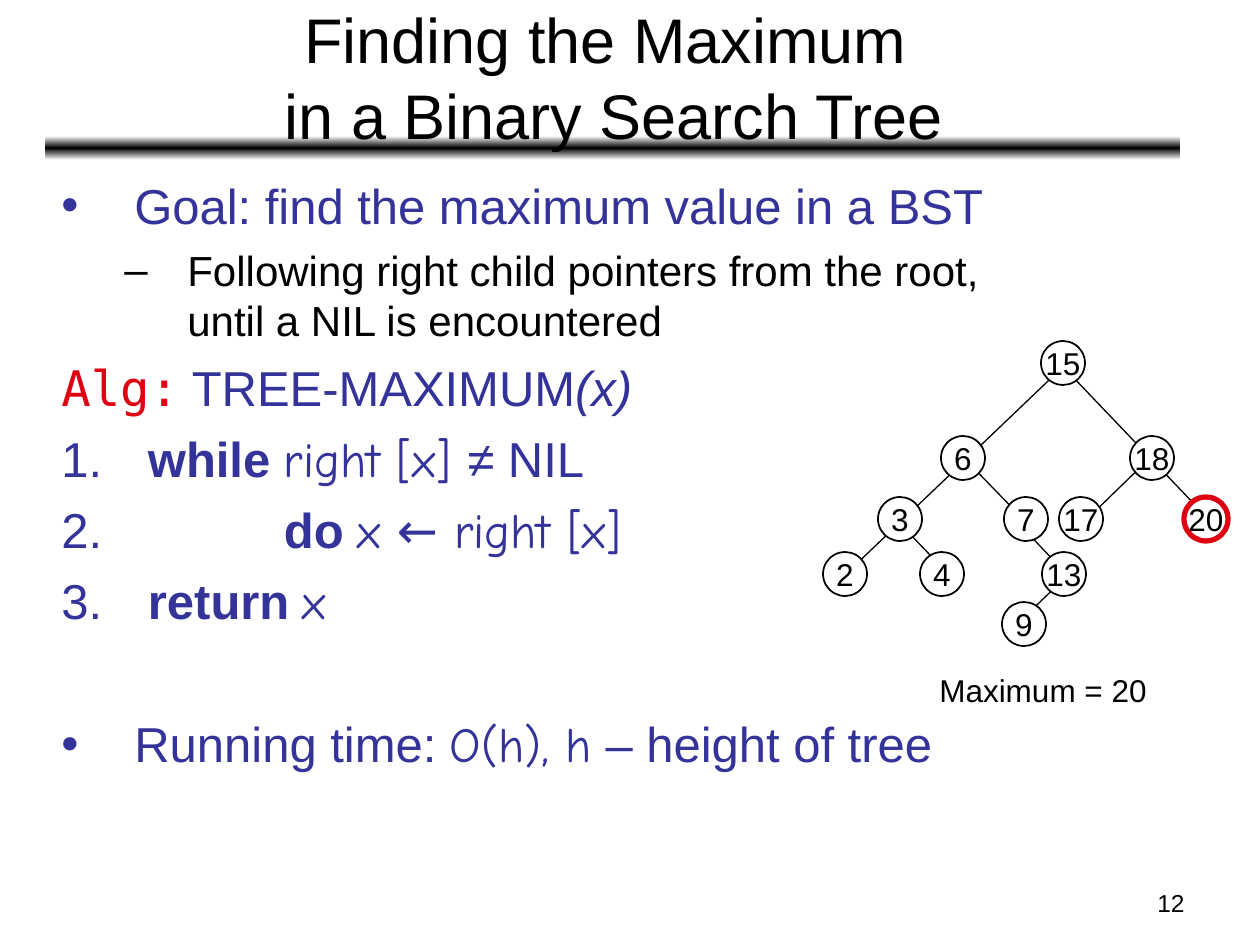
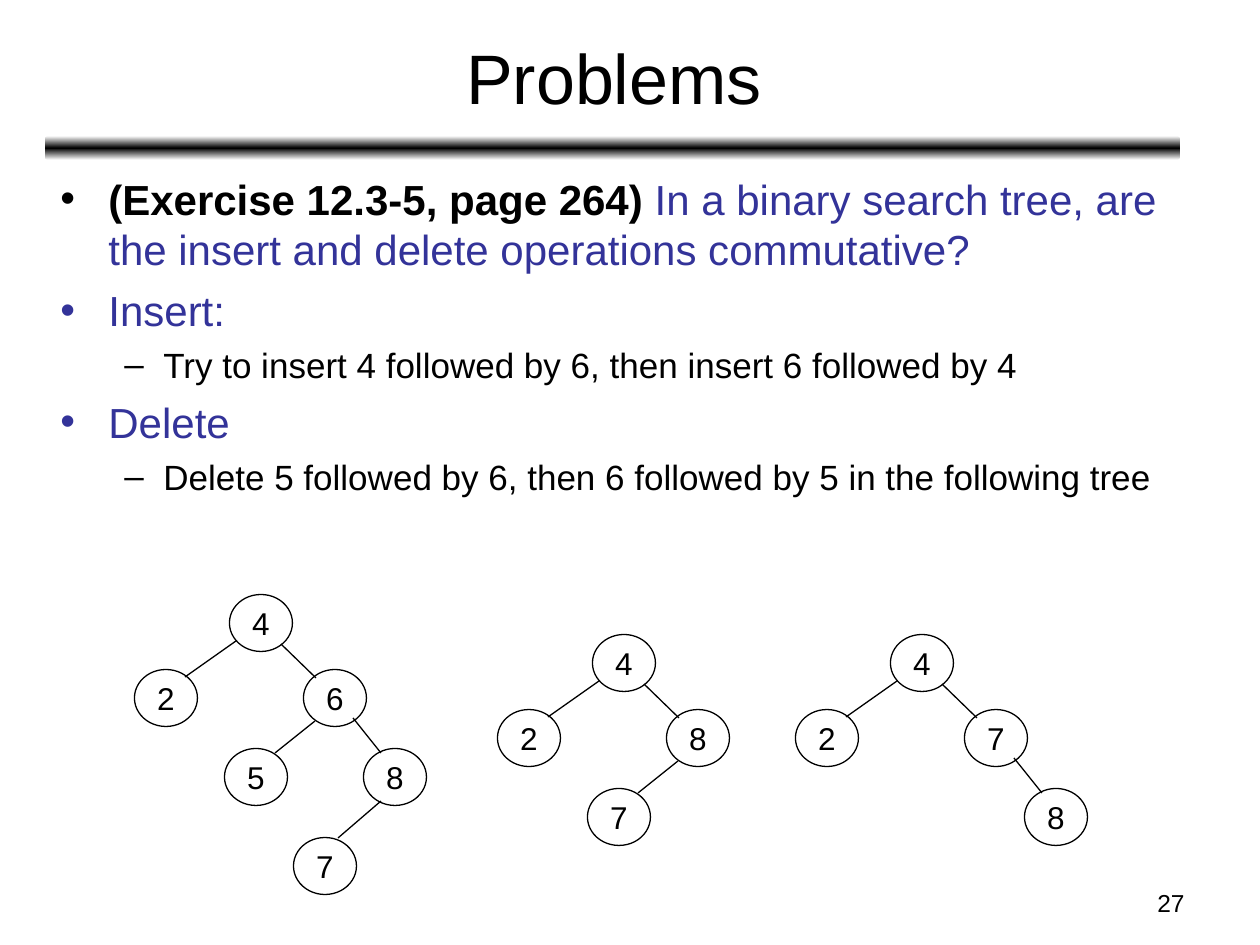
import copy

import pptx
import pptx.dml.color
import pptx.enum.shapes
import pptx.enum.text
import pptx.oxml.ns
import pptx.util

PX = 914400 / 126
SLIDE_W, SLIDE_H = 1260, 945
COLORS = {"black": "000000", "white": "FFFFFF", "blue": "333399", "red": "DD0111"}
SANS, HAND, MONO = "Arial", "Comic Neue", "DejaVu Sans Mono"

BAND = (45, 136, 1135, 24)
TITLE = (47, 14, 1134, 125)
NUMBER = (903, 882, 294, 44)

# Paragraph styles: text indent and hang in px, space before in pt
GOAL = {"left": 73, "hang": 73, "before": 7, "bullet": "•", "size": 28, "color": "blue"}
POINT = {"left": 126, "hang": 63, "before": 6, "bullet": "–", "size": 24, "level": 1}
ALG = {**GOAL, "bullet": None}
STEP = {**GOAL, "bullet": "1."}
NESTED_STEP = {**STEP, "left": 209, "hang": 209}
RUNNING_TIME = {**GOAL, "before": 48}
TOPIC = {"left": 48, "hang": 48, "before": 6, "bullet": "•", "size": 24, "color": "blue"}
EXERCISE = {**TOPIC, "bullet_color": "black"}
TASK = {"left": 103, "hang": 39, "before": 5, "bullet": "–", "size": 20, "level": 1}

BOLD, HANDWRITTEN = {"bold": True}, {"font": HAND}

# A slot spells the way down from the root: L for left child, R for right child.
# Offsets are from the root; a line is named after the lowest slot it reaches.
MAX_SLOTS = {
    "": (0, 0), "L": (-100, 95), "R": (89, 95),
    "LL": (-163, 156), "LR": (-37, 156), "RL": (18, 156), "RR": (143, 156),
    "LLL": (-218, 211), "LLR": (-121, 211), "LRR": (1, 211), "LRRL": (-39, 261),
}
MAX_LINES = {
    "LRRL": (-51, 266, 5, 212), "LRR": (-41, 164, 12, 220), "RL": (19, 161, 89, 93),
    "LLR": (-109, 217, -177, 146), "LR": (-35, 161, -103, 91),
    "RR": (155, 166, -13, -10), "LLL": (-216, 210, 4, 0),
}
PROBLEM_SLOTS = {
    "": (0, 0), "L": (-95, 75), "R": (74, 75),
    "RL": (-5, 154), "RR": (134, 154), "RRL": (64, 243),
}
PROBLEM_LINES = {
    "R": (20, 21, 55, 55), "RR": (92, 95, 120, 130), "RL": (54, 98, 14, 130),
    "L": (-25, 18, -76, 54), "RRL": (120, 178, 77, 215),
}
MAX_STYLE = {"slots": MAX_SLOTS, "lines": MAX_LINES, "node": (44, 44), "width": 1,
             "fill": "white"}
PROBLEM_STYLE = {"slots": PROBLEM_SLOTS, "lines": PROBLEM_LINES, "node": (63, 57),
                 "width": 0.75}

SLIDES = [
    {
        "title": "Finding the Maximum \nin a Binary Search Tree",
        "title_size": 36,
        "number": "12",
        "body_at": (49, 169, 968, 699),
        "body": [
            (GOAL, [("Goal: find the maximum value in a BST", {})]),
            (POINT, [("Following right child pointers from the root, "
                      "until a NIL is encountered", {})]),
            (ALG, [("Alg:", {"font": MONO, "color": "red"}), (" TREE-MAXIMUM", {}),
                   ("(x)", {"italic": True})]),
            (STEP, [(" ", {}), ("while ", BOLD), ("right [x] ", HANDWRITTEN),
                    ("≠ NIL", {})]),
            (NESTED_STEP, [(" ", {}), ("do ", BOLD), ("x ← right [x]", HANDWRITTEN)]),
            (STEP, [(" ", {}), ("return ", BOLD), ("x", HANDWRITTEN)]),
            (RUNNING_TIME, [("Running time: ", {}), ("O(h), h", HANDWRITTEN),
                            (" – height of tree", {})]),
        ],
        "trees": [
            {"root": (1063, 363), "marked": "RR", "style": MAX_STYLE,
             "values": {"": 15, "L": 6, "R": 18, "LL": 3, "LR": 7, "RL": 17, "RR": 20,
                        "LLL": 2, "LLR": 4, "LRR": 13, "LRRL": 9}},
        ],
        "caption": ("Maximum = 20", (927, 665, 240, 50)),
    },
    {
        "title": "Problems",
        "title_size": 40,
        "number": "27",
        "body_at": (48, 167, 1134, 396),
        "body": [
            (EXERCISE, [("(Exercise 12.3-5, page 264)", {"bold": True, "color": "black"}),
                        (" In a binary search tree, are the insert and delete "
                         "operations commutative?", {})]),
            (TOPIC, [("Insert:", {})]),
            (TASK, [("Try to insert 4 followed by 6, then insert 6 followed by 4", {})]),
            (TOPIC, [("Delete", {})]),
            (TASK, [("Delete 5 followed by 6, then 6 followed by 5 "
                     "in the following tree", {})]),
        ],
        "trees": [
            {"root": (261, 623), "style": PROBLEM_STYLE,
             "values": {"": 4, "L": 2, "R": 6, "RL": 5, "RR": 8, "RRL": 7}},
            {"root": (624, 663), "style": PROBLEM_STYLE,
             "values": {"": 4, "L": 2, "R": 8, "RL": 7}},
            {"root": (922, 663), "style": PROBLEM_STYLE,
             "values": {"": 4, "L": 2, "R": 7, "RR": 8}},
        ],
    },
]


def emu(*lengths):
    return [pptx.util.Emu(round(n * PX)) for n in lengths]


def rgb(name):
    return pptx.dml.color.RGBColor.from_string(COLORS[name])


def add_text(p, text, size=18, color="black", font=SANS, bold=False, italic=False):
    """Add text to a paragraph; each newline becomes a line break."""
    for i, line in enumerate(text.split("\n")):
        if i:
            p.add_line_break()
        r = p.add_run()
        r.text = line
        r.font.size = pptx.util.Pt(size)
        r.font.name = font
        r.font.bold, r.font.italic = bold, italic
        r.font.color.rgb = rgb(color)


def add_box(slide, at, wrap=True):
    tf = slide.shapes.add_textbox(*emu(*at)).text_frame
    tf.word_wrap = wrap
    return tf


def add_xml(parent, tag, **attrs):
    child = parent.makeelement(pptx.oxml.ns.qn(tag), attrs)
    parent.append(child)
    return child


def set_bullet(p, bullet, color):
    p_pr = p._p.get_or_add_pPr()
    add_xml(add_xml(p_pr, "a:buClr"), "a:srgbClr", val=COLORS[color])
    add_xml(p_pr, "a:buFont", typeface=SANS)
    if bullet == "1.":
        add_xml(p_pr, "a:buAutoNum", type="arabicPeriod")
    else:
        add_xml(p_pr, "a:buChar", char=bullet)


def add_body(slide, at, paragraphs):
    tf = add_box(slide, at)
    for i, (style, runs) in enumerate(paragraphs):
        p = tf.add_paragraph() if i else tf.paragraphs[0]
        color = style.get("color", "black")
        p.level = style.get("level", 0)
        p.space_before = pptx.util.Pt(style["before"])
        left, hang = emu(style["left"], style["hang"])
        p_pr = p._p.get_or_add_pPr()
        p_pr.set("marL", str(left))
        p_pr.set("indent", str(-hang))
        if style["bullet"]:
            set_bullet(p, style["bullet"], style.get("bullet_color", color))
        for text, fmt in runs:
            add_text(p, text, **{"size": style["size"], "color": color, **fmt})


def add_band(slide):
    band = slide.shapes.add_shape(
        pptx.enum.shapes.MSO_SHAPE.ROUNDED_RECTANGLE, *emu(*BAND))
    band.shadow.inherit = False
    band.line.fill.background()
    band.fill.gradient()
    band.fill.gradient_angle = 90
    last = list(band.element.iter(pptx.oxml.ns.qn("a:gs")))[-1]
    last.addnext(copy.deepcopy(last))
    for stop, place, color in zip(band.fill.gradient_stops, (0, 0.5, 1),
                                  ("white", "black", "white")):
        stop.position = place
        stop.color.rgb = rgb(color)
    return band


def add_frame(slide, title, size, number):
    """Add what every slide shares: band, title above it, and slide number."""
    sp = slide.shapes.title
    add_band(slide).element.addnext(sp.element)
    sp.left, sp.top, sp.width, sp.height = emu(*TITLE)
    tf = sp.text_frame
    tf.auto_size = pptx.enum.text.MSO_AUTO_SIZE.NONE
    tf.vertical_anchor = pptx.enum.text.MSO_ANCHOR.MIDDLE
    tf.paragraphs[0].alignment = pptx.enum.text.PP_ALIGN.CENTER
    add_text(tf.paragraphs[0], title, size=size)
    p = add_box(slide, NUMBER).paragraphs[0]
    p.alignment = pptx.enum.text.PP_ALIGN.RIGHT
    add_text(p, number, size=14)


def add_line(group, x1, y1, x2, y2):
    line = group.shapes.add_connector(
        pptx.enum.shapes.MSO_CONNECTOR.STRAIGHT, *emu(x1, y1, x2, y2))
    line.line.color.rgb = rgb("black")
    line.line.width = pptx.util.Pt(0.75)
    add_xml(line.element.spPr, "a:effectLst")


def add_node(group, x, y, value, node, width, fill=None, marked=False):
    w, h = node
    sp = group.shapes.add_shape(
        pptx.enum.shapes.MSO_SHAPE.OVAL, *emu(x - w / 2, y - h / 2, w, h))
    sp.shadow.inherit = False
    if fill:
        sp.fill.solid()
        sp.fill.fore_color.rgb = rgb(fill)
    else:
        sp.fill.background()
    sp.line.color.rgb = rgb("red" if marked else "black")
    sp.line.width = pptx.util.Pt(3 if marked else width)
    tf = sp.text_frame
    tf.word_wrap = False
    tf.vertical_anchor = pptx.enum.text.MSO_ANCHOR.MIDDLE
    tf.paragraphs[0].alignment = pptx.enum.text.PP_ALIGN.CENTER
    add_text(tf.paragraphs[0], str(value))


def add_tree(slide, root, values, style, marked=None):
    group = slide.shapes.add_group_shape()
    look = dict(style)
    slots, lines = look.pop("slots"), look.pop("lines")
    x, y = root
    for slot, (x1, y1, x2, y2) in lines.items():
        if slot in values:
            add_line(group, x + x1, y + y1, x + x2, y + y2)
    for slot, value in values.items():
        dx, dy = slots[slot]
        add_node(group, x + dx, y + dy, value, marked=slot == marked, **look)


def main():
    prs = pptx.Presentation()
    prs.slide_width, prs.slide_height = emu(SLIDE_W, SLIDE_H)
    for content in SLIDES:
        slide = prs.slides.add_slide(prs.slide_layouts[5])
        add_frame(slide, content["title"], content["title_size"], content["number"])
        for tree in content["trees"]:
            add_tree(slide, **tree)
        if "caption" in content:
            text, at = content["caption"]
            add_text(add_box(slide, at, wrap=False).paragraphs[0], text)
        add_body(slide, content["body_at"], content["body"])
    prs.save("out.pptx")


if __name__ == "__main__":
    main()
